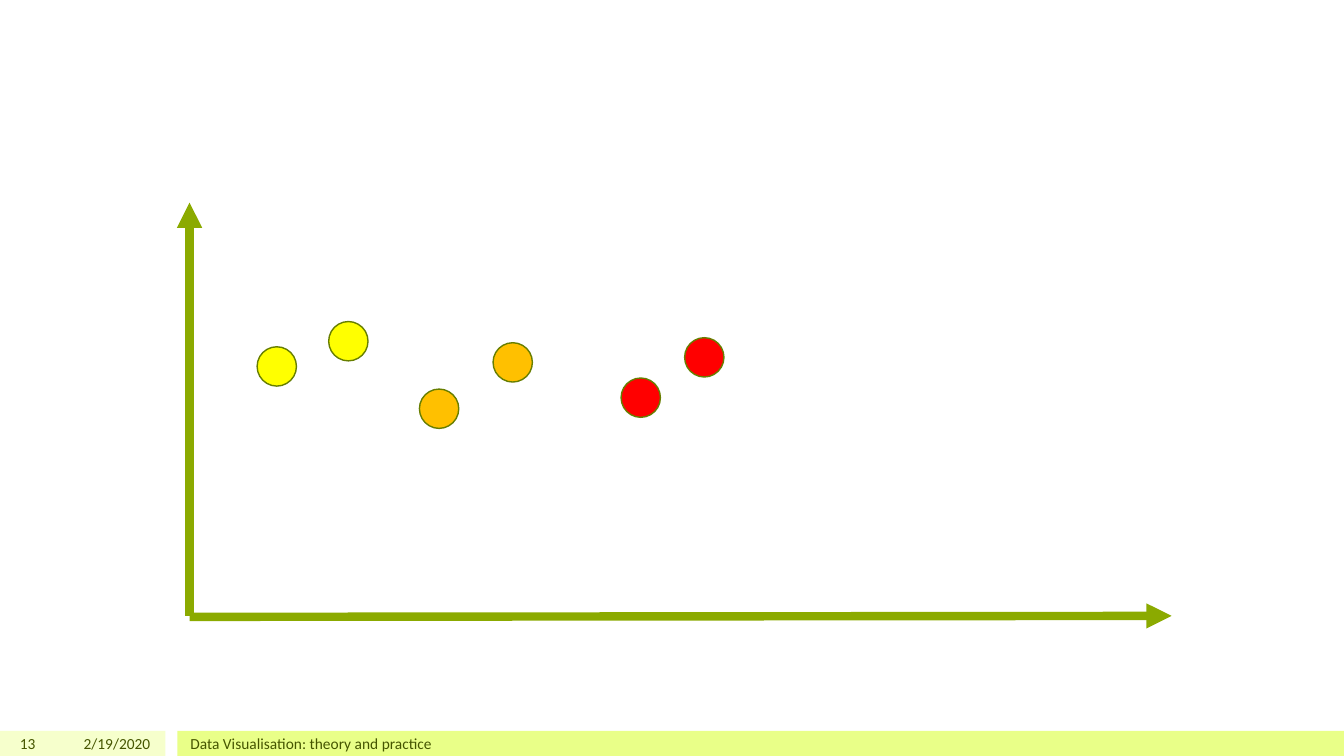
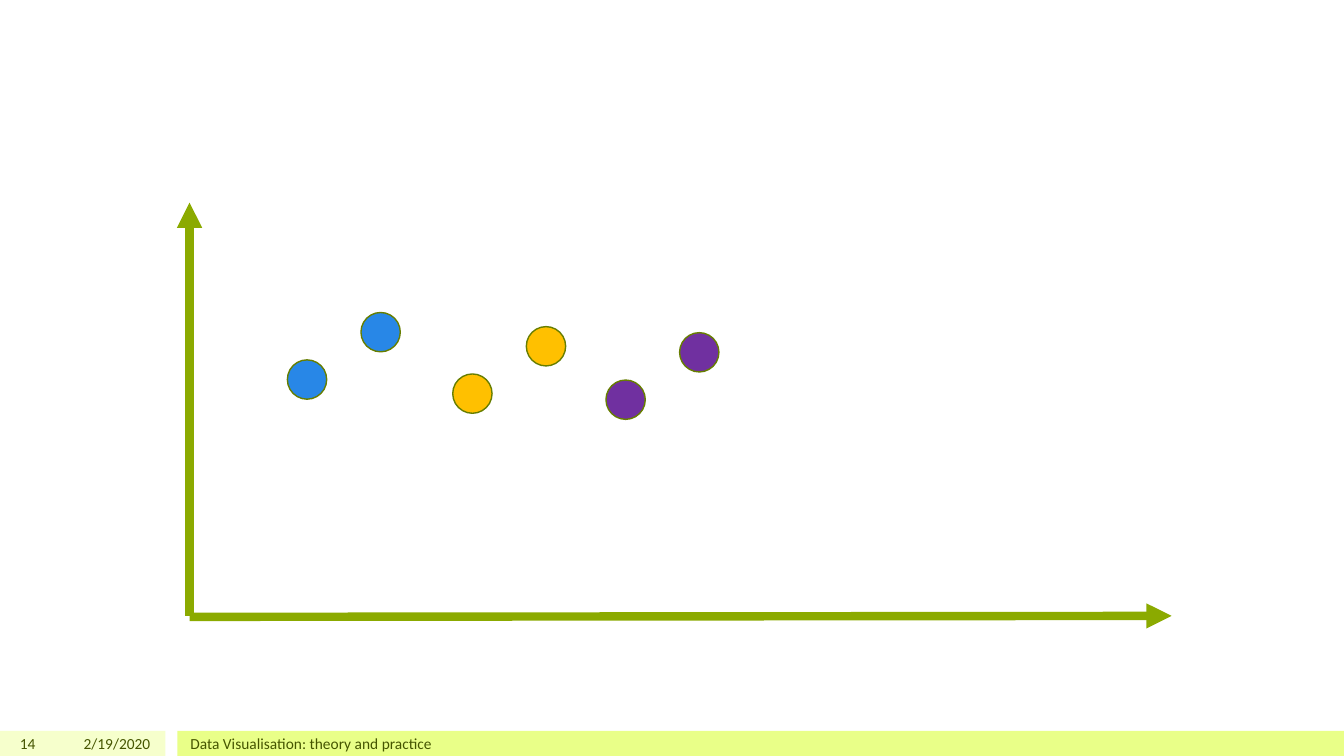
from pptx import Presentation
from pptx.dml.color import RGBColor
from pptx.enum.shapes import MSO_CONNECTOR as Link, MSO_SHAPE as Form
from pptx.enum.text import MSO_ANCHOR as Anchor, PP_ALIGN as Align
from pptx.oxml.ns import qn
from pptx.util import Inches, Pt
from lxml.etree import SubElement as Sub

# Slide size, footer band and plot origin, in inches
WIDE, HIGH = 13.33, 7.5
BAND = HIGH / 30
TOP = HIGH - BAND
LEFT, BASE = 1.88, 6.11
DOT = 0.39

# Shared colours
INK, AXIS, EDGE = "455500", "8BAA00", "677E00"

# Footer bands: left, width, fill
BANDS = [(0, 1.64, "F6FFCC"), (1.76, WIDE - 1.76, "E9FF88")]

# Axes: start and tip
AXES = [((LEFT, BASE + 0.01), (11.62, BASE)), ((LEFT, BASE), (LEFT, 2.01))]

# Pairs of dots per slide: fill, first dot, step to the second
RISE = (0.73, -0.47)
PAGES = {
    13: [
        ("FFFF00", (2.55, 3.44), (0.71, -0.25)),
        ("FFC000", (4.16, 3.86), (0.73, -0.46)),
        ("FF0000", (6.16, 3.75), (0.63, -0.4)),
    ],
    14: [
        ("2887E7", (2.85, 3.57), RISE),
        ("FFC000", (4.49, 3.71), RISE),
        ("7030A0", (6.01, 3.77), RISE),
    ],
}


def paint(part, tone):
    """Give a fill a solid colour."""
    part.solid()
    part.fore_color.rgb = RGBColor.from_string(tone)


def draw(slide, form, box, tone):
    """Add a plain filled shape without line or shadow."""
    shape = slide.shapes.add_shape(form, *map(Inches, box))
    shape.shadow.inherit = False
    paint(shape.fill, tone)
    shape.line.fill.background()
    return shape


deck = Presentation()
deck.slide_width, deck.slide_height = Inches(WIDE), Inches(HIGH)

for page, pairs in PAGES.items():
    slide = deck.slides.add_slide(deck.slide_layouts[6])

    # Footer bands
    for left, width, tone in BANDS:
        draw(slide, Form.RECTANGLE, (left, TOP, width, BAND), tone)

    # Footer text
    notes = [
        (0, 0.45, str(page), Align.RIGHT),
        (0.5, 1.09, "2/19/2020", Align.RIGHT),
        (1.79, 10, "Data Visualisation: theory and practice", Align.LEFT),
    ]
    for left, width, text, side in notes:
        box = slide.shapes.add_textbox(*map(Inches, (left, TOP, width, BAND)))
        frame = box.text_frame
        frame.word_wrap = True
        frame.vertical_anchor = Anchor.MIDDLE
        frame.text = text
        line = frame.paragraphs[0]
        line.alignment = side
        font = line.runs[0].font
        font.name, font.size = "Calibri", Pt(11)
        paint(font.fill, INK)

    # Axes with arrowheads
    for start, tip in AXES:
        axis = slide.shapes.add_connector(
            Link.STRAIGHT, *map(Inches, start + tip))
        axis.line.width = Pt(6)
        paint(axis.line.fill, AXIS)
        Sub(axis.line._get_or_add_ln(), qn("a:tailEnd"), type="triangle")
        Sub(axis._element.spPr, qn("a:effectLst"))

    # Dots
    for tone, (x, y), (dx, dy) in pairs:
        for step in range(2):
            spot = (x + step * dx, y + step * dy, DOT, DOT)
            dot = draw(slide, Form.OVAL, spot, tone)
            dot.line.width = Pt(1)
            paint(dot.line.fill, EDGE)

deck.save("out.pptx")
